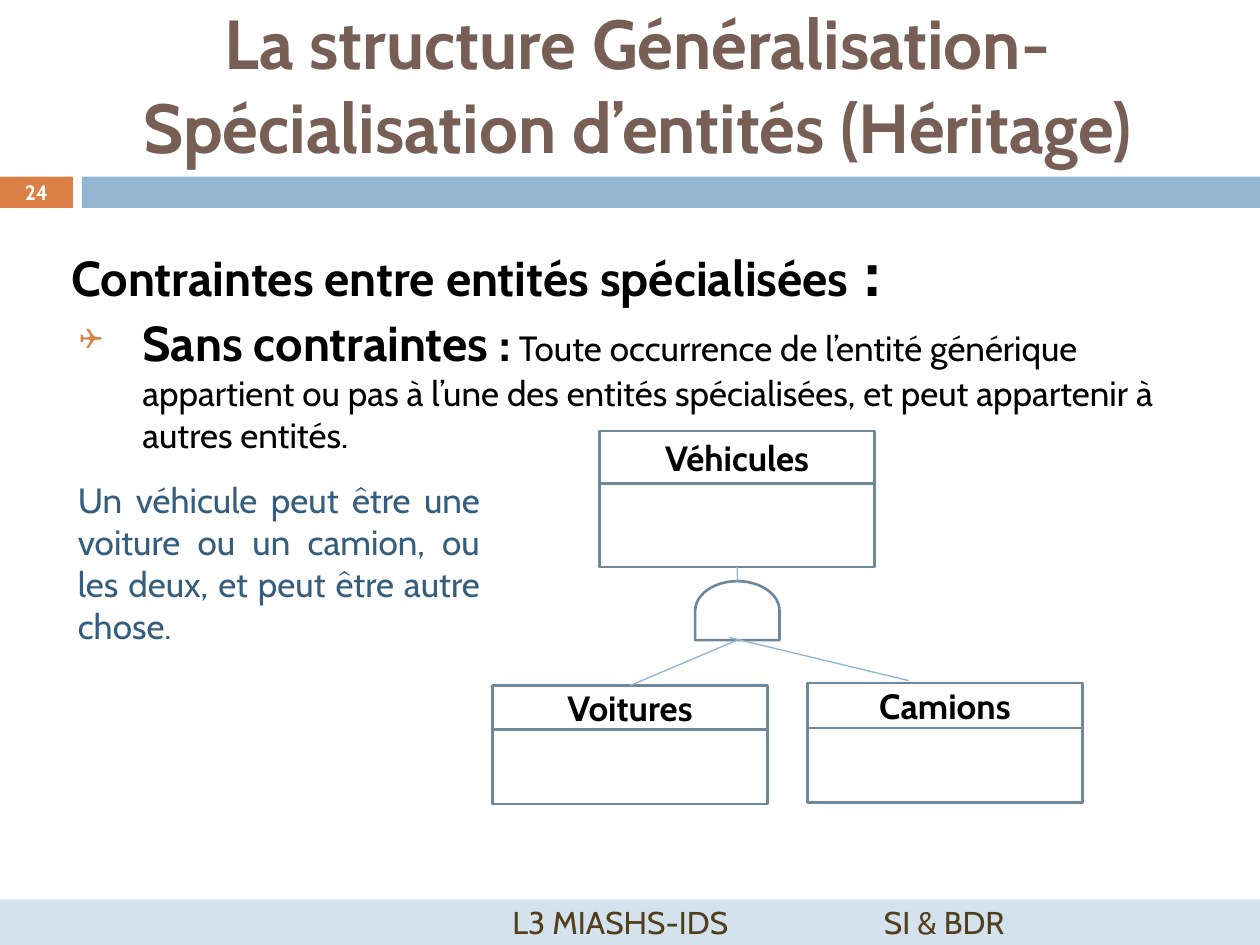
from dataclasses import dataclass

import pptx
import pptx.dml.color
import pptx.enum.shapes
import pptx.enum.text
import pptx.oxml.ns
import pptx.util
from lxml import etree
from pptx.util import Cm

FONT = "Cabin"
BLACK = "000000"
ORANGE = "DD8047"
BLUE = "94B6D2"
OUTLINE = "6D879B"
ALIGN = pptx.enum.text.PP_ALIGN
ANCHOR = pptx.enum.text.MSO_ANCHOR
SHAPE = pptx.enum.shapes.MSO_SHAPE


@dataclass
class Box:
    left: float
    top: float
    width: float
    height: float


@dataclass
class Run:
    text: str
    size: float
    color: str = BLACK
    bold: bool = False


@dataclass
class Entity:
    name: str
    left: float
    top: float
    header_height: float
    body_height: float
    width: float = 5.54


ENTITIES = [
    Entity("Véhicules", 12.09, 8.69, 1.06, 1.68),
    Entity("Voitures", 9.93, 13.82, 0.89, 1.5),
    Entity("Camions", 16.28, 13.77, 0.91, 1.5),
]


def rgb(color: str):
    return pptx.dml.color.RGBColor.from_string(color)


def add_element(parent, tag: str, **attributes: str):
    element = etree.SubElement(parent, pptx.oxml.ns.qn(tag))
    for name, value in attributes.items():
        element.set(name, value)
    return element


def write(shape, runs: list[Run], align=ALIGN.LEFT, anchor=ANCHOR.TOP):
    frame = shape.text_frame
    frame.word_wrap = True
    frame.vertical_anchor = anchor
    paragraph = frame.paragraphs[0]
    paragraph.alignment = align
    for part in runs:
        run = paragraph.add_run()
        run.text = part.text
        run.font.name = FONT
        run.font.size = pptx.util.Pt(part.size)
        run.font.bold = part.bold
        run.font.color.rgb = rgb(part.color)
    return paragraph


def add_shape(slide, kind, box: Box, fill: str = "", line: str = ""):
    shape = slide.shapes.add_shape(
        kind, Cm(box.left), Cm(box.top), Cm(box.width), Cm(box.height))
    shape.shadow.inherit = False
    if fill:
        shape.fill.solid()
        shape.fill.fore_color.rgb = rgb(fill)
    else:
        shape.fill.background()
    if line:
        shape.line.color.rgb = rgb(line)
        shape.line.width = pptx.util.Pt(1.5)
    else:
        shape.line.fill.background()
    return shape


def add_text(slide, box: Box, runs: list[Run], align=ALIGN.LEFT, anchor=ANCHOR.TOP):
    shape = slide.shapes.add_textbox(
        Cm(box.left), Cm(box.top), Cm(box.width), Cm(box.height))
    return shape, write(shape, runs, align, anchor)


def add_entity(slide, entity: Entity):
    header = add_shape(slide, SHAPE.RECTANGLE, Box(
        entity.left, entity.top, entity.width, entity.header_height), line=OUTLINE)
    write(header, [Run(entity.name, 20, bold=True)], ALIGN.CENTER, ANCHOR.MIDDLE)
    body = add_shape(slide, SHAPE.RECTANGLE, Box(
        entity.left, entity.top + entity.header_height,
        entity.width, entity.body_height), line=OUTLINE)
    return header, body


def add_line(slide, x1: float, y1: float, x2: float, y2: float):
    line = slide.shapes.add_connector(
        pptx.enum.shapes.MSO_CONNECTOR.STRAIGHT, Cm(x1), Cm(y1), Cm(x2), Cm(y2))
    line.line.color.rgb = rgb(BLUE)
    line.line.width = pptx.util.Pt(0.8)
    add_element(line._element.spPr, "a:effectLst")
    return line


def main():
    presentation = pptx.Presentation()
    presentation.slide_width, presentation.slide_height = Cm(25.4), Cm(19.05)
    slide = presentation.slides.add_slide(presentation.slide_layouts[6])

    # Bands and footer
    add_shape(slide, SHAPE.RECTANGLE, Box(0, 3.56, 1.47, 0.63), fill=ORANGE)
    add_shape(slide, SHAPE.RECTANGLE, Box(1.65, 3.56, 23.75, 0.63), fill=BLUE)
    footer = add_shape(slide, SHAPE.RECTANGLE, Box(0, 18.13, 25.4, 0.92), fill="D4E2ED")
    paragraph = write(footer, [Run("L3 MIASHS-IDS\tSI & BDR", 18, "513E1B")],
                      anchor=ANCHOR.MIDDLE)
    footer.text_frame.margin_left = Cm(10.33)
    tabs = add_element(paragraph._p.get_or_add_pPr(), "a:tabLst")
    add_element(tabs, "a:tab", pos=str(Cm(7.49)), algn="l")

    # Title and slide number
    add_text(slide, Box(0.3, 0, 25.1, 3.38),
             [Run("La structure Généralisation-Spécialisation d’entités (Héritage)",
                  39.6, "775F55", True)], ALIGN.CENTER, ANCHOR.MIDDLE)
    number, _ = add_text(slide, Box(0, 3.53, 1.47, 0.69),
                         [Run("24", 11.9, "FFFFFF", True)], ALIGN.CENTER, ANCHOR.MIDDLE)
    frame = number.text_frame
    frame.margin_left = frame.margin_right = frame.margin_top = frame.margin_bottom = 0

    # Constraint definition
    _, paragraph = add_text(slide, Box(1.35, 6.17, 23.34, 2.16), [
        Run("Sans contraintes :", 28, bold=True),
        Run(" ", 20, bold=True),
        Run("Toute occurrence de l’entité générique appartient ou pas à l’une des "
            "entités spécialisées, et peut appartenir à autres entités.", 20)])
    properties = paragraph._p.get_or_add_pPr()
    properties.set("marL", str(Cm(1.27)))
    properties.set("indent", str(-Cm(1.27)))
    add_element(add_element(properties, "a:buClr"), "a:srgbClr", val=ORANGE)
    add_element(properties, "a:buSzPct", val="60000")
    add_element(properties, "a:buFont", typeface="Wingdings")
    add_element(properties, "a:buChar", char="❑")
    add_text(slide, Box(1.19, 4.45, 17.09, 1.88), [
        Run("Contraintes entre entités spécialisées", 28, bold=True),
        Run(" :", 40, bold=True)])

    # Inheritance diagram
    vehicles, cars, _ = [add_entity(slide, entity) for entity in ENTITIES]
    symbol = add_shape(slide, SHAPE.FLOWCHART_DELAY, Box(14.27, 11.46, 1.19, 1.7),
                       line=OUTLINE)
    symbol.rotation = 270
    add_line(slide, 14.87, 11.43, 14.87, 11.71).begin_connect(vehicles[1], 2)
    add_line(slide, 14.87, 12.9, 12.7, 13.82).end_connect(cars[0], 0)
    add_line(slide, 14.7, 12.85, 18.32, 13.72)

    # Example
    add_text(slide, Box(1.32, 9.53, 8.61, 4.22),
             [Run("Un véhicule peut être une voiture ou un camion, ou les deux, "
                  "et peut être autre chose.", 20, "355D7E")], ALIGN.JUSTIFY)

    presentation.save("out.pptx")


if __name__ == "__main__":
    main()
